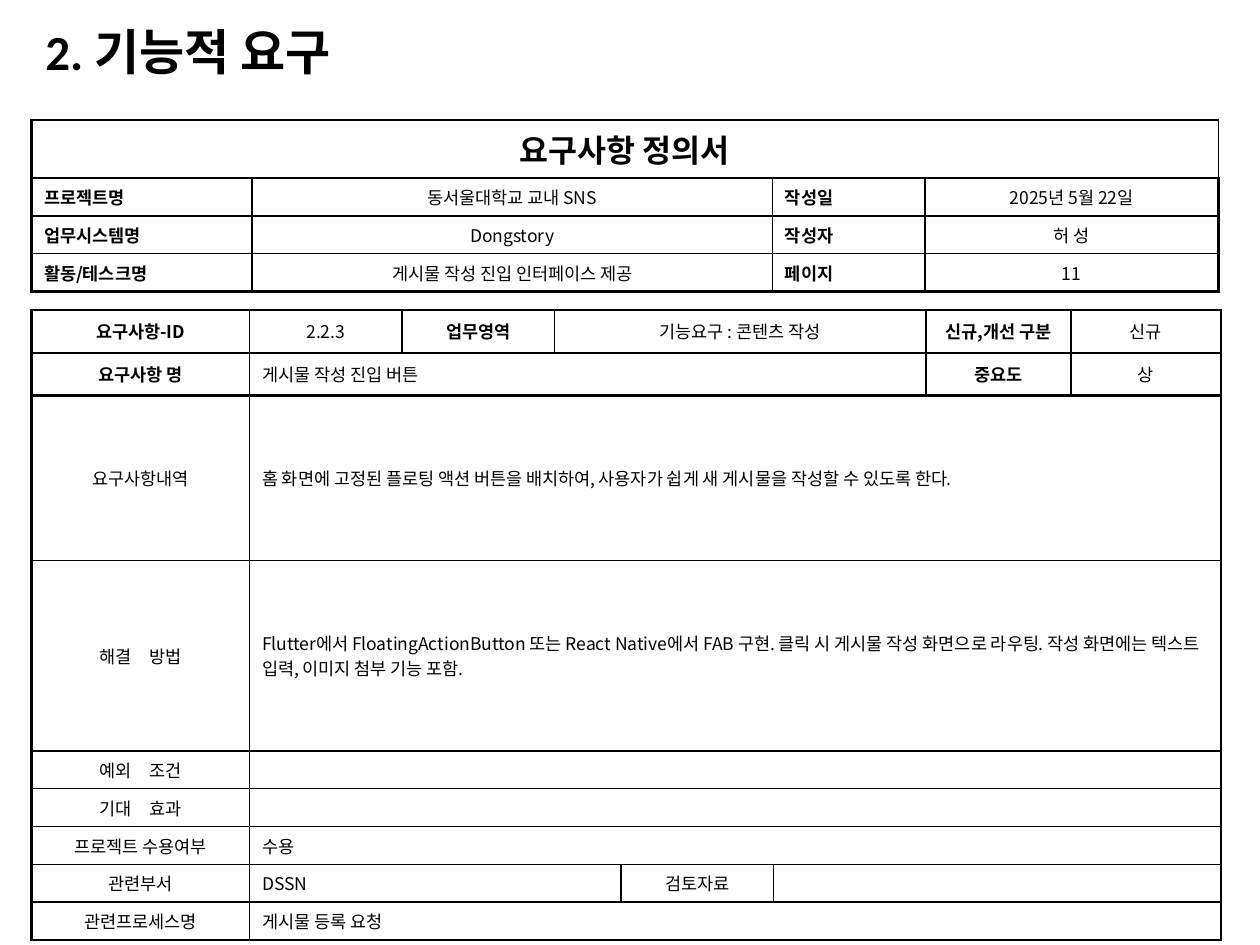
from dataclasses import dataclass

from lxml import etree
from pptx import Presentation
from pptx.dml.color import RGBColor
from pptx.enum.text import MSO_ANCHOR, PP_ALIGN
from pptx.oxml.ns import qn
from pptx.util import Inches, Pt

LEFT, CENTER, JUSTIFY = PP_ALIGN.LEFT, PP_ALIGN.CENTER, PP_ALIGN.JUSTIFY
TOP, MIDDLE = MSO_ANCHOR.TOP, MSO_ANCHOR.MIDDLE


@dataclass(frozen=True)
class Theme:
    """Colours, fonts and sizes of the slide."""
    ink: str = "000000"
    title_font: str = "Calibri"
    font: str = "Noto Sans CJK KR"
    title: int = 28
    heading: int = 18
    text: int = 10
    thin: float = 1
    thick: float = 1.5
    word_gap: int = 8


THEME = Theme()

# Each style gives alignment, bold and size.
STYLES = {
    "heading": (CENTER, True, THEME.heading),
    "key": (JUSTIFY, True, THEME.text),
    "label": (CENTER, True, THEME.text),
    "value": (CENTER, False, THEME.text),
    "body": (LEFT, False, THEME.text),
}

HEADER_COLS = [1.75, 4.13, 1.21, 2.33]
HEADER_HEIGHTS = [0.46] + [0.27] * 3
HEADER_ROWS = [[("요구사항 정의서", "heading", 4)]] + [
    [(k1, "key", 1), (v1, "value", 1), (k2, "key", 1), (v2, "value", 1)]
    for k1, v1, k2, v2 in [
        ("프로젝트명", "동서울대학교 교내 SNS", "작성일", "2025년 5월 22일"),
        ("업무시스템명", "Dongstory", "작성자", "허 성"),
        ("활동/테스크명", "게시물 작성 진입 인터페이스 제공", "페이지", "11"),
    ]
]

DETAIL_COLS = [1.73, 1.21, 1.21, 0.53, 1.21, 1.21, 1.15, 1.19]
DETAIL_HEIGHTS = [0.34, 0.34, 1.31, 1.51] + [0.27] * 5
DETAIL_ROWS = [
    [("요구사항-ID", "label", 1), ("2.2.3", "value", 1), ("업무영역", "label", 1),
     ("기능요구 : 콘텐츠 작성", "value", 3), ("신규,개선 구분", "label", 1),
     ("신규", "value", 1)],
    [("요구사항 명", "label", 1), ("게시물 작성 진입 버튼", "body", 5),
     ("중요도", "label", 1), ("상", "value", 1)],
    [("요구사항내역", "value", 1),
     ("홈 화면에 고정된 플로팅 액션 버튼을 배치하여, 사용자가 쉽게 새 게시물을 "
      "작성할 수 있도록 한다.", "body", 7)],
    [("해결 방법", "value", 1),
     ("Flutter에서 FloatingActionButton 또는 React Native에서 FAB 구현. "
      "클릭 시 게시물 작성 화면으로 라우팅. 작성 화면에는 텍스트 입력, "
      "이미지 첨부 기능 포함.", "body", 7)],
    [("예외 조건", "value", 1), ("", "body", 7)],
    [("기대 효과", "value", 1), ("", "body", 7)],
    [("프로젝트 수용여부", "value", 1), ("수용", "body", 7)],
    [("관련부서", "value", 1), ("DSSN", "body", 3), ("검토자료", "value", 1),
     ("", "body", 3)],
    [("관련프로세스명", "value", 1), ("게시물 등록 요청", "body", 7)],
]
WIDE_GAP = {"해결 방법", "예외 조건", "기대 효과"}


def format_run(r, font, size, bold):
    """Set the Latin and East Asian fonts, size, weight and colour of a run."""
    r.font.name, r.font.size, r.font.bold = font, Pt(size), bold
    r.font.color.rgb = RGBColor.from_string(THEME.ink)
    ea = etree.Element(qn("a:ea"), typeface=THEME.font)
    r._r.get_or_add_rPr().find(qn("a:latin")).addnext(ea)


def write_cell(cell, text, style, anchor):
    """Write text into a cell in one of the named styles."""
    align, bold, size = STYLES[style]
    cell.vertical_anchor = anchor
    p = cell.text_frame.paragraphs[0]
    p.alignment = align
    if not text:
        p._p.get_or_add_endParaRPr().set("sz", str(size * 100))
    for part in text.partition(" ") if text in WIDE_GAP else [text]:
        if part:
            r = p.add_run()
            r.text = part
            format_run(r, THEME.font, size, bold)
            if part == " ":
                r._r.rPr.set("spc", str(THEME.word_gap * 100))


def set_borders(cell, widths):
    """Draw the given sides of a cell, listed in the order L, R, T, B."""
    tcPr = cell._tc.get_or_add_tcPr()
    for i, (side, width) in enumerate(widths.items()):
        ln = etree.Element(qn(f"a:ln{side}"), w=str(Pt(width)))
        fill = etree.SubElement(ln, qn("a:solidFill"))
        etree.SubElement(fill, qn("a:srgbClr"), val=THEME.ink)
        tcPr.insert(i, ln)


def add_form(slide, x, y, cols, heights, rows, anchors, thick_rows):
    """Add a bordered form table with merged cells at the given corner."""
    n, m = len(rows), len(cols)
    table = slide.shapes.add_table(
        n, m, Inches(x), Inches(y), Inches(sum(cols)), Inches(sum(heights))).table
    table.first_row = table.horz_banding = False
    for col, width in zip(table.columns, cols):
        col.width = Inches(width)
    for row, height in zip(table.rows, heights):
        row.height = Inches(height)

    for i, cells in enumerate(rows):
        top = THEME.thick if i in thick_rows else THEME.thin
        bottom = THEME.thick if i + 1 in thick_rows else THEME.thin
        start = 0
        for text, style, span in cells:
            end = start + span
            left = THEME.thick if start == 0 else THEME.thin
            right = THEME.thick if end == m and len(cells) > 2 else THEME.thin
            for j in range(start, end):
                cell = table.cell(i, j)
                cell.fill.background()
                sides = {}
                if j == start:
                    sides["L"] = left
                if j in (start, end - 1):
                    sides["R"] = right
                set_borders(cell, {**sides, "T": top, "B": bottom})
            cell = table.cell(i, start)
            if span > 1:
                cell.merge(table.cell(i, end - 1))
            write_cell(cell, text, style, anchors[i])
            start = end


def add_title(slide, text, x, y, w, h):
    """Place the title placeholder in the given box."""
    sp = slide.shapes.title
    sp.left, sp.top, sp.width, sp.height = map(Inches, (x, y, w, h))
    tf = sp.text_frame
    tf.text = text
    tf.vertical_anchor = MIDDLE
    p = tf.paragraphs[0]
    p.alignment, p.line_spacing = LEFT, 0.9
    format_run(p.runs[0], THEME.title_font, THEME.title, True)


def main():
    """Build the requirement definition slide."""
    prs = Presentation()
    prs.slide_width, prs.slide_height = Inches(10), Inches(7.5)
    slide = prs.slides.add_slide(prs.slide_layouts[5])
    add_title(slide, "2. 기능적 요구", 0.26, 0.21, 5.36, 0.44)
    add_form(slide, 0.25, 2.46, DETAIL_COLS, DETAIL_HEIGHTS, DETAIL_ROWS,
             [MIDDLE] * 9, {0, 1, 2, 9})
    add_form(slide, 0.25, 0.95, HEADER_COLS, HEADER_HEIGHTS, HEADER_ROWS,
             [MIDDLE] + [TOP] * 3, {0, 4})
    prs.save("out.pptx")


if __name__ == "__main__":
    main()
